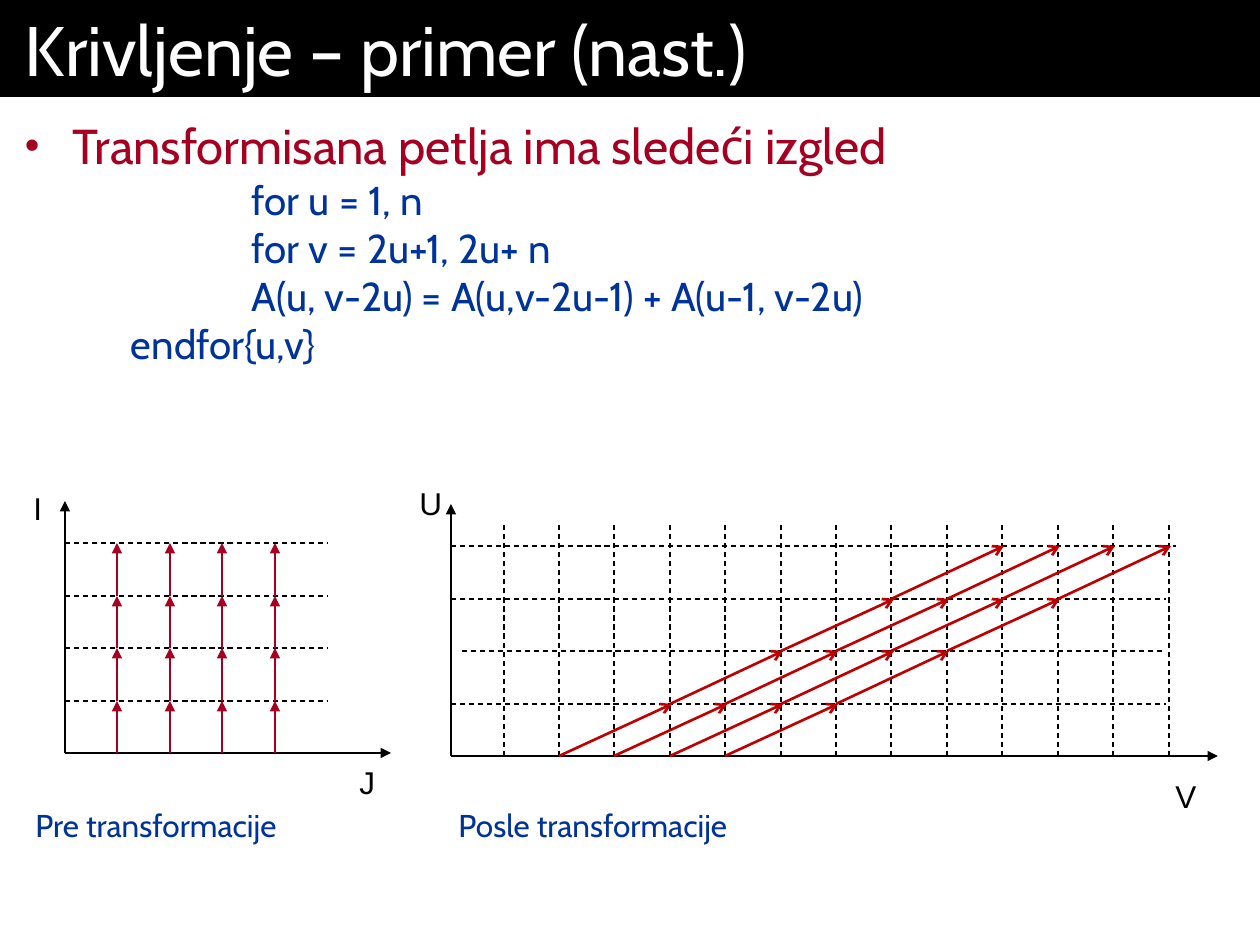
from dataclasses import dataclass

from lxml.etree import SubElement
from pptx import Presentation
from pptx.dml.color import RGBColor as Rgb
from pptx.enum.dml import MSO_LINE
from pptx.enum.shapes import MSO_CONNECTOR, MSO_SHAPE
from pptx.enum.text import MSO_ANCHOR as Anchor
from pptx.oxml.ns import qn
from pptx.util import Pt

EMU_PER_PX = 914400 / 126


@dataclass(frozen=True)
class Theme:
    """Colours, fonts and sizes of the slide."""
    black: Rgb = Rgb(0x00, 0x00, 0x00)
    white: Rgb = Rgb(0xFF, 0xFF, 0xFF)
    crimson: Rgb = Rgb(0xA5, 0x00, 0x21)
    red: Rgb = Rgb(0xC0, 0x00, 0x00)
    blue: Rgb = Rgb(0x00, 0x33, 0x99)
    text_font: str = "Cabin"
    axis_font: str = "Arial"
    title_size: int = 40
    bullet_size: int = 28
    code_size: int = 23
    label_size: int = 18
    solid: float = 1.5
    thin: float = 0.75


THEME = Theme()
LEVELS = 4
GRID_HEIGHT = 210


def px(length):
    """Turn pixels into EMU."""
    return round(length * EMU_PER_PX)


def row_y(base, row):
    """Return the height of a grid row above the base line."""
    return base - GRID_HEIGHT * row // LEVELS


def style(paragraph, size, color, font=THEME.text_font):
    """Set the font of a paragraph."""
    paragraph.font.name = font
    paragraph.font.size = Pt(size)
    paragraph.font.color.rgb = color


def indent(paragraph, margin, first=0):
    """Set the left margin and first-line indent of a paragraph."""
    properties = paragraph._p.get_or_add_pPr()
    properties.set("marL", str(px(margin)))
    properties.set("indent", str(px(first)))
    return properties


def set_insets(frame, side, top):
    """Set the side and the top and bottom insets of a text frame."""
    frame.margin_left = frame.margin_right = px(side)
    frame.margin_top = frame.margin_bottom = px(top)


def add_title(slide, text):
    """Add the title bar."""
    bar = slide.shapes.add_shape(MSO_SHAPE.RECTANGLE, 0, 0, px(1260), px(97))
    bar.shadow.inherit = False
    bar.fill.solid()
    bar.fill.fore_color.rgb = THEME.black
    bar.line.fill.background()
    frame = bar.text_frame
    frame.word_wrap = True
    frame.vertical_anchor = Anchor.MIDDLE
    set_insets(frame, 25, 6)
    title = frame.paragraphs[0]
    title.text = text
    indent(title, 0).set("algn", "l")
    style(title, THEME.title_size, THEME.white)


def add_body(slide, heading, code):
    """Add the bulleted heading and the indented code lines."""
    body = slide.shapes.add_textbox(0, px(97), px(1260), px(848))
    frame = body.text_frame
    frame.word_wrap = True
    set_insets(frame, 25, 19)
    bullet = frame.paragraphs[0]
    bullet.text = heading
    bullet.space_before = Pt(7)
    style(bullet, THEME.bullet_size, THEME.crimson)
    properties = indent(bullet, 48, -48)
    marks = [
        SubElement(properties, qn("a:buSzPct"), val="85000"),
        SubElement(properties, qn("a:buFont"), typeface=THEME.axis_font),
        SubElement(properties, qn("a:buChar"), char="•"),
    ]
    defaults = properties.find(qn("a:defRPr"))
    for mark in marks:
        defaults.addprevious(mark)
    for text, margin in code:
        line = frame.add_paragraph()
        line.text = text
        indent(line, margin)
        style(line, THEME.code_size, THEME.blue)


def add_label(slide, text, left, top, width, color, font):
    """Add a one-line label."""
    label = slide.shapes.add_textbox(px(left), px(top), px(width), px(50))
    frame = label.text_frame
    frame.word_wrap = False
    frame.vertical_anchor = Anchor.BOTTOM
    frame.paragraphs[0].text = text
    style(frame.paragraphs[0], THEME.label_size, color, font)


def add_line(slide, start, end, color=THEME.black, width=THEME.solid, head=None):
    """Add a straight line with an optional arrowhead at its end."""
    line = slide.shapes.add_connector(
        MSO_CONNECTOR.STRAIGHT, *(px(value) for value in (*start, *end)))
    line.line.color.rgb = color
    line.line.width = Pt(width)
    if head:
        SubElement(line.line._get_or_add_ln(), qn("a:tailEnd"), type=head)
    SubElement(line._element.spPr, qn("a:effectLst"))
    return line


def add_grid_line(slide, start, end):
    """Add a thin dashed line."""
    line = add_line(slide, start, end, width=THEME.thin)
    line.line.dash_style = MSO_LINE.DASH


def add_axes(slide, origin, top, right):
    """Add a vertical and a horizontal axis from one origin."""
    left, base = origin
    add_line(slide, origin, (left, top), head="triangle")
    add_line(slide, origin, (right, base), head="triangle")


def add_original_space(slide):
    """Draw the dependences before the transformation."""
    left, base = 65, 753
    add_axes(slide, (left, base), 501, 391)
    for row in range(1, LEVELS + 1):
        y = row_y(base, row)
        add_grid_line(slide, (left, y), (328, y))
        for column in range(1, LEVELS + 1):
            x = left + GRID_HEIGHT * column // LEVELS
            add_line(slide, (x, row_y(base, row - 1)), (x, y),
                     THEME.crimson, head="triangle")


def add_skewed_space(slide):
    """Draw the dependences after the transformation."""
    left, base = 451, 756
    columns = [504 + 665 * column // 12 for column in range(13)]
    add_axes(slide, (left, base), 504, 1218)
    for row, (start, end) in enumerate(
            [(left, 1166), (462, 1166), (left, 1166), (left, 1176)], 1):
        y = row_y(base, row)
        add_grid_line(slide, (start, y), (end, y))
    for x in columns:
        add_grid_line(slide, (x, base), (x, 525))
    for chain in range(LEVELS):
        for step in range(LEVELS):
            x = columns[1 + chain + 2 * step]
            add_line(slide, (x, row_y(base, step)),
                     (x + 113, row_y(base, step + 1)), THEME.red, head="arrow")


def main():
    """Build and save the slide."""
    deck = Presentation()
    deck.slide_width, deck.slide_height = px(1260), px(945)
    slide = deck.slides.add_slide(deck.slide_layouts[6])
    add_body(slide, "Transformisana petlja ima sledeći izgled", [
        ("for u = 1, n", 227),
        ("for v = 2u+1, 2u+ n", 227),
        ("A(u, v-2u) = A(u,v-2u-1) + A(u-1, v-2u)", 227),
        ("endfor{u,v}", 106),
    ])
    add_title(slide, "Krivljenje – primer (nast.)")
    add_original_space(slide)
    add_skewed_space(slide)
    for text, left, top, width in [("I", 21, 483, 34), ("J", 347, 757, 40),
                                   ("U", 407, 478, 48), ("V", 1163, 771, 45)]:
        add_label(slide, text, left, top, width, THEME.black, THEME.axis_font)
    for text, left, width in [("Pre transformacije", 23, 307),
                              ("Posle transformacije", 446, 336)]:
        add_label(slide, text, left, 800, width, THEME.blue, THEME.text_font)
    deck.save("out.pptx")


if __name__ == "__main__":
    main()
